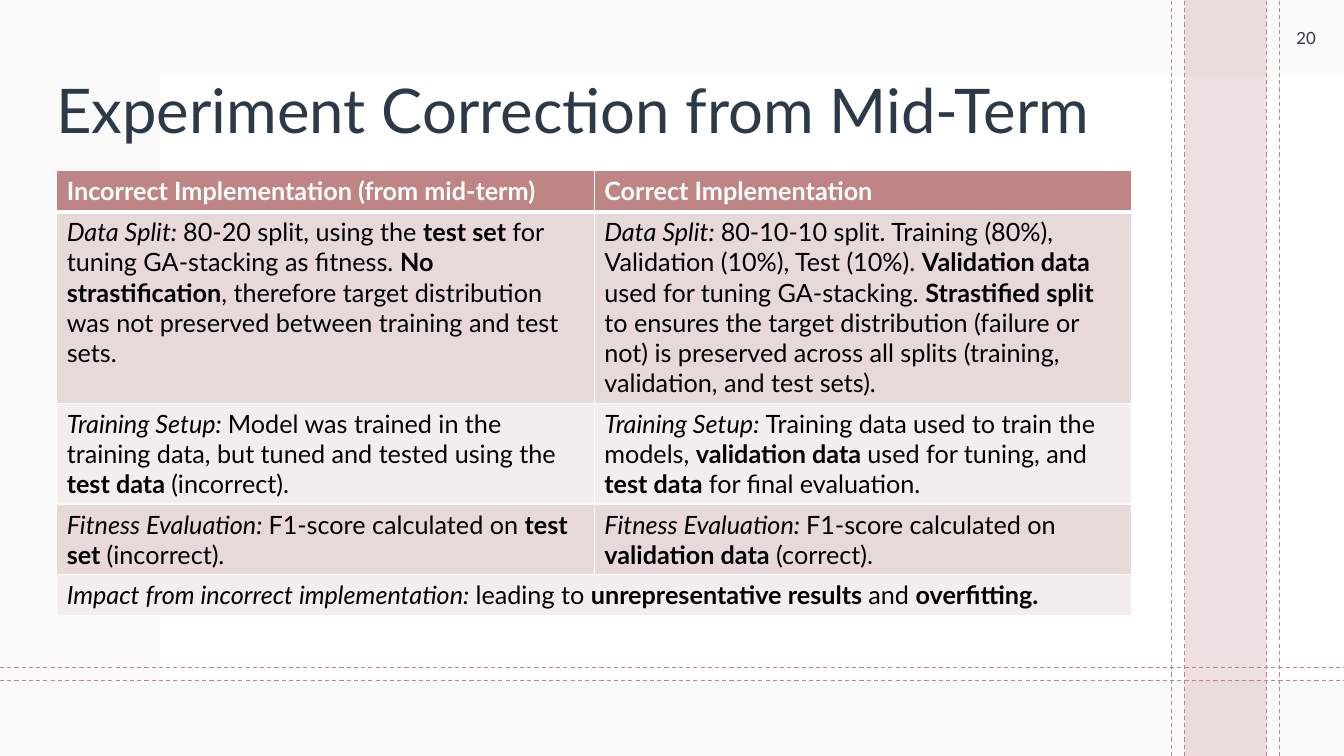
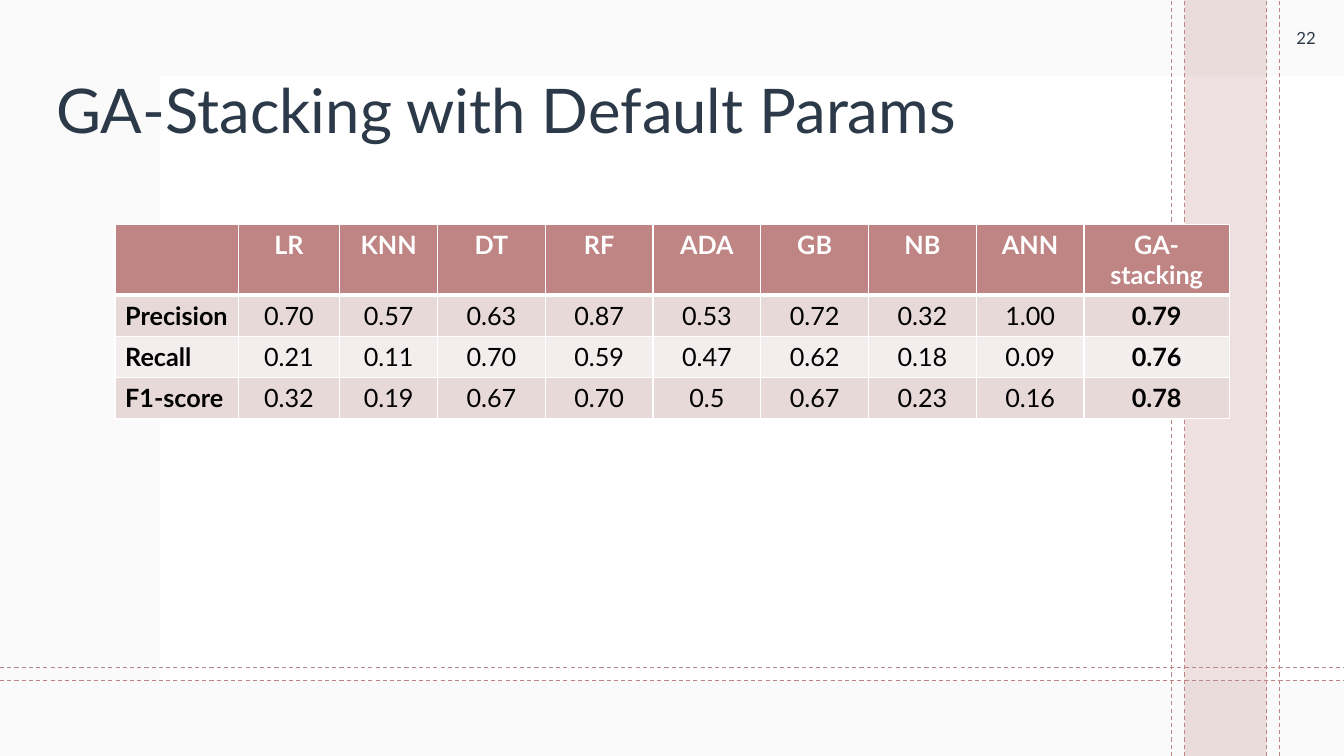
from pptx import Presentation
from pptx.dml.color import RGBColor
from pptx.enum.dml import MSO_LINE
from pptx.enum.shapes import MSO_CONNECTOR, MSO_SHAPE
from pptx.enum.text import MSO_ANCHOR, MSO_AUTO_SIZE, PP_ALIGN
from pptx.oxml.ns import qn
from pptx.util import Inches, Pt
from lxml.etree import SubElement

COLUMNS, ROWS = 160, 90
FONT = "Lato"
INK, ROSE, WHITE, BLACK, MIST = "2C3948", "BF8484", "FFFFFF", "000000", "F4F4F4"
BANDS = ["E8D9D9", "F4EDED"]
BAND_LEFT, BAND_RIGHT, FLOOR, GAP, MARGIN = 141, 150.8, 81, 1.5, 9
LINE_ROW = 4.9

COMPARISON = [
    [[("Incorrect Implementation (from mid-term)", "b")], [("Correct Implementation", "b")]],
    [
        [("Data Split: ", "i"), ("80-20 split, using the ", ""), ("test set ", "b"),
         ("for tuning GA-stacking as fitness. ", ""), ("No strastification", "b"),
         (", therefore target distribution was not preserved between training and test sets.", "")],
        [("Data Split: ", "i"),
         ("80-10-10 split. Training (80%), Validation (10%), Test (10%). ", ""),
         ("Validation data ", "b"), ("used for tuning GA-stacking. ", ""),
         ("Strastified split ", "b"),
         ("to ensures the target distribution (failure or not) is preserved across all splits "
          "(training, validation, and test sets).", "")],
    ],
    [
        [("Training Setup: ", "i"),
         ("Model was trained in the training data, but tuned and tested using the ", ""),
         ("test data ", "b"), ("(incorrect).", "")],
        [("Training Setup: ", "i"), ("Training data used to train the models, ", ""),
         ("validation data ", "b"), ("used for tuning, and ", ""),
         ("test data ", "b"), ("for final evaluation.", "")],
    ],
    [
        [("Fitness Evaluation: ", "i"), ("F1-score calculated on ", ""),
         ("test set ", "b"), ("(incorrect).", "")],
        [("Fitness Evaluation: ", "i"), ("F1-score calculated on ", ""),
         ("validation data", "b"), (" (correct).", "")],
    ],
    [
        [("Impact from incorrect implementation: ", "i"), ("leading to ", ""),
         ("unrepresentative results ", "b"), ("and ", ""), ("overfitting.", "b")],
        [],
    ],
]

SCORES = [
    ["", "LR", "KNN", "DT", "RF", "ADA", "GB", "NB", "ANN", "GA-stacking"],
    ["Precision", "0.70", "0.57", "0.63", "0.87", "0.53", "0.72", "0.32", "1.00", "0.79"],
    ["Recall", "0.21", "0.11", "0.70", "0.59", "0.47", "0.62", "0.18", "0.09", "0.76"],
    ["F1-score", "0.32", "0.19", "0.67", "0.70", "0.5", "0.67", "0.23", "0.16", "0.78"],
]


def grid(cells):
    return Inches(cells / 12)


def colour(value):
    return RGBColor.from_string(value)


def place(shape, left, top, width, height):
    shape.left, shape.top = grid(left), grid(top)
    shape.width, shape.height = grid(width), grid(height)


def add_span(para, text, size, ink, style=""):
    span = para.add_run()
    span.text = text
    span.font.name = FONT
    span.font.size = Pt(size)
    span.font.color.rgb = colour(ink)
    span.font.bold = "b" in style
    span.font.italic = "i" in style


def add_panel(slide, left, top, width, height, fill, opacity=100):
    panel = slide.shapes.add_shape(
        MSO_SHAPE.RECTANGLE, grid(left), grid(top), grid(width), grid(height))
    panel.shadow.inherit = False
    panel.line.fill.background()
    panel.fill.solid()
    panel.fill.fore_color.rgb = colour(fill)
    if opacity < 100:
        tint = panel.element.spPr.find(".//" + qn("a:srgbClr"))
        SubElement(tint, qn("a:alpha"), val=str(opacity * 1000))
    return panel


def add_dashed_line(slide, start, end):
    line = slide.shapes.add_connector(
        MSO_CONNECTOR.STRAIGHT, *[grid(cells) for cells in (*start, *end)])
    line.line.color.rgb = colour(ROSE)
    line.line.width = Pt(0.75)
    line.line.dash_style = MSO_LINE.DASH
    SubElement(line.element.spPr, qn("a:effectLst"))
    return line


def dress_layout(layout, slide):
    for holder in list(layout.placeholders):
        if holder.placeholder_format.idx == 0:
            place(holder, 5.5, 4.8, 130, 17.4)
        else:
            holder.element.getparent().remove(holder.element)
    decor = [
        add_panel(slide, 0, 0, COLUMNS, ROWS, MIST, 45),
        add_panel(slide, 19, MARGIN, COLUMNS - 19, FLOOR - MARGIN, WHITE),
        add_panel(slide, BAND_LEFT, 0, BAND_RIGHT - BAND_LEFT, ROWS, ROSE, 25),
    ]
    for column in (BAND_LEFT - GAP, BAND_LEFT, BAND_RIGHT, BAND_RIGHT + GAP):
        decor.append(add_dashed_line(slide, (column, ROWS), (column, 0)))
    for row in (FLOOR - GAP, FLOOR):
        decor.append(add_dashed_line(slide, (0, row), (COLUMNS, row)))
    for shape in decor:
        layout.shapes.element.append(shape.element)


def set_title(slide, text):
    frame = slide.shapes.title.text_frame
    frame.auto_size = MSO_AUTO_SIZE.NONE
    frame.vertical_anchor = MSO_ANCHOR.MIDDLE
    para = frame.paragraphs[0]
    para.alignment = PP_ALIGN.LEFT
    para.line_spacing = 0.9
    add_span(para, text, 44, INK)


def add_page_number(slide, number):
    box = slide.shapes.add_textbox(
        grid(COLUMNS - MARGIN), 0, grid(MARGIN), grid(MARGIN))
    frame = box.text_frame
    frame.word_wrap = True
    frame.vertical_anchor = MSO_ANCHOR.MIDDLE
    para = frame.paragraphs[0]
    para.alignment = PP_ALIGN.CENTER
    add_span(para, str(number), 12, INK)


def set_borders(cell, bottom):
    properties = cell._tc.get_or_add_tcPr()
    for side, width in (("L", 1), ("R", 1), ("T", 1), ("B", bottom)):
        border = SubElement(properties, qn("a:ln" + side), w=str(Pt(width)))
        SubElement(SubElement(border, qn("a:solidFill")), qn("a:srgbClr"), val=WHITE)


def add_table(slide, left, top, widths, heights, content, alignments):
    frame = slide.shapes.add_table(
        len(heights), len(widths), grid(left), grid(top),
        grid(sum(widths)), grid(sum(heights)))
    table = frame.table
    table.horz_banding = False
    for column, width in zip(table.columns, widths):
        column.width = grid(width)
    for index, (row, height, texts) in enumerate(zip(table.rows, heights, content)):
        row.height = grid(height)
        header = index == 0
        for cell, spans, alignment in zip(row.cells, texts, alignments):
            set_borders(cell, 3 if header else 1)
            cell.fill.solid()
            cell.fill.fore_color.rgb = colour(ROSE if header else BANDS[(index - 1) % 2])
            para = cell.text_frame.paragraphs[0]
            para.alignment = alignment
            for text, style in spans:
                add_span(para, text, 18, WHITE if header else BLACK, style)
    return table


def score_spans(row, column, text):
    bold = row == 0 or column in (0, len(SCORES[0]) - 1)
    return [(text, "b" if bold else "")] if text else []


def add_comparison(slide):
    heights = [LINE_ROW, 22.8, 11.9, 8.3, LINE_ROW]
    table = add_table(slide, 6.75, 20.3, [64, 64], heights, COMPARISON, [PP_ALIGN.LEFT] * 2)
    table.cell(4, 0).merge(table.cell(4, 1))


def add_scores(slide):
    widths = [14.65, 12.1, 11.65] + [12.83] * 6 + [17.3]
    heights = [8.4] + [LINE_ROW] * 3
    content = [[score_spans(row, column, text) for column, text in enumerate(texts)]
               for row, texts in enumerate(SCORES)]
    alignments = [PP_ALIGN.LEFT] + [PP_ALIGN.CENTER] * 9
    add_table(slide, 13.7, 26.75, widths, heights, content, alignments)


def main():
    deck = Presentation()
    deck.slide_width, deck.slide_height = grid(COLUMNS), grid(ROWS)
    layout = deck.slide_layouts[5]
    pages = [
        ("Experiment Correction from Mid-Term", 20, add_comparison),
        ("GA-Stacking with Default Params", 22, add_scores),
    ]
    slides = [deck.slides.add_slide(layout) for page in pages]
    dress_layout(layout, slides[0])
    for slide, (title, number, add_content) in zip(slides, pages):
        set_title(slide, title)
        add_content(slide)
        add_page_number(slide, number)
    deck.save("out.pptx")


if __name__ == "__main__":
    main()
